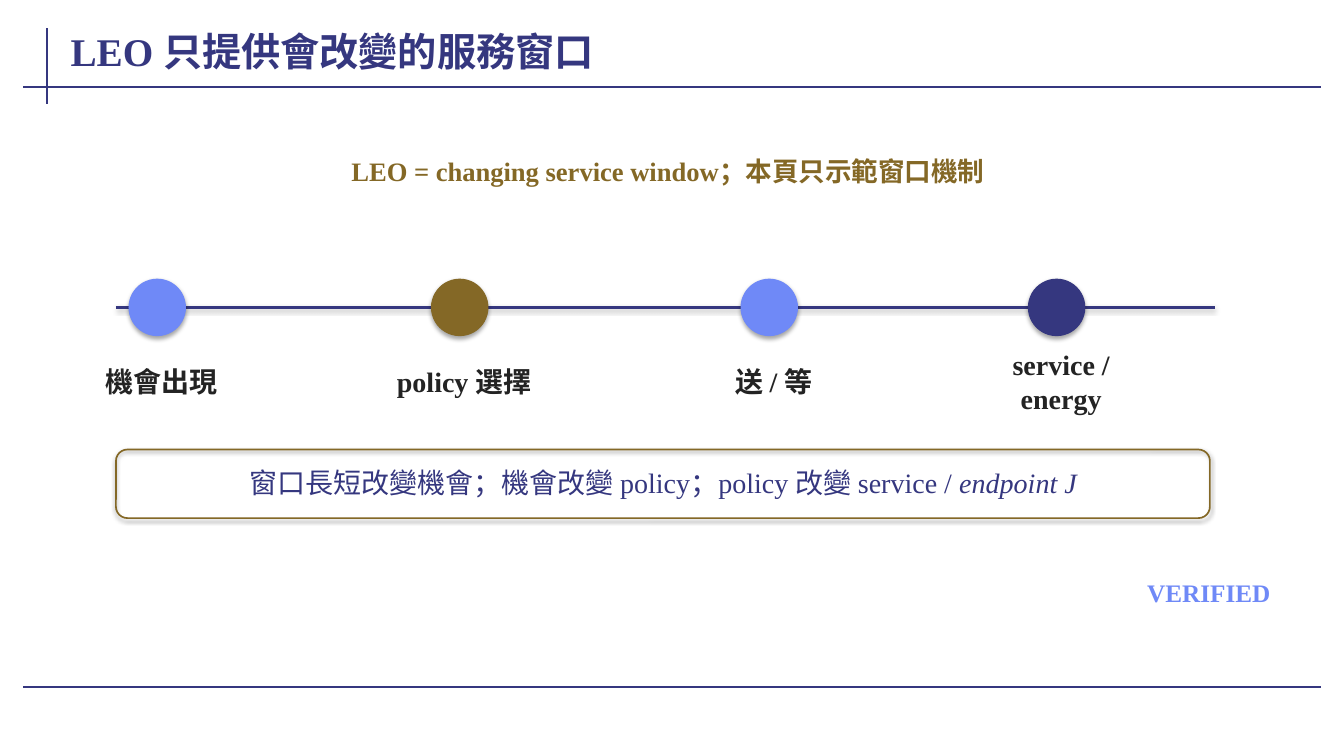
import pptx
import pptx.util
import pptx.dml.color
import pptx.enum.shapes
import pptx.enum.text
import pptx.oxml

PX = 9144  # 100 px to the inch
SHAPE = pptx.enum.shapes.MSO_SHAPE
ALIGN = pptx.enum.text.PP_ALIGN
FIT = pptx.enum.text.MSO_AUTO_SIZE


class Theme:
    font = "Times New Roman"
    navy = pptx.dml.color.RGBColor(0x35, 0x37, 0x7F)
    gold = pptx.dml.color.RGBColor(0x84, 0x68, 0x26)
    blue = pptx.dml.color.RGBColor(0x6F, 0x89, 0xF7)
    ink = pptx.dml.color.RGBColor(0x23, 0x23, 0x23)
    title_size = 28
    body_size = 20
    subtitle_size = 19
    tag_size = 18


def write(box, text, size, color, bold=True, align=ALIGN.CENTER,
          inset=(8, 6), fit=FIT.SHAPE_TO_FIT_TEXT):
    """Fill a box with one styled paragraph and return that paragraph."""
    frame = box.text_frame
    frame.text = text
    frame.word_wrap = True
    frame.auto_size = fit
    frame.vertical_anchor = pptx.enum.text.MSO_ANCHOR.MIDDLE
    frame.margin_left = frame.margin_right = inset[0] * PX
    frame.margin_top = frame.margin_bottom = inset[1] * PX
    paragraph = frame.paragraphs[0]
    paragraph.alignment = align
    for run in paragraph.runs:
        run.font.name = Theme.font
        run.font.size = pptx.util.Pt(size)
        run.font.bold = bold
        run.font.color.rgb = color
    return paragraph


def add_line(x1, y1, x2, y2, width):
    line = slide.shapes.add_connector(
        pptx.enum.shapes.MSO_CONNECTOR.STRAIGHT,
        x1 * PX, y1 * PX, x2 * PX, y2 * PX)
    line.line.color.rgb = Theme.navy
    line.line.width = pptx.util.Pt(width)
    return line


deck = pptx.Presentation()
deck.slide_width = 1333 * PX
deck.slide_height = 750 * PX
slide = deck.slides.add_slide(deck.slide_layouts[5])

# Page frame
for ends in ((47, 28, 47, 103), (23, 86, 1310, 86), (23, 682, 1310, 682)):
    rule = add_line(*ends, 1.5)
    rule._element.spPr.append(pptx.oxml.parse_xml(
        '<a:effectLst xmlns:a="http://schemas.openxmlformats.org/drawingml/2006/main"/>'))

title = slide.shapes.title
title.left, title.top, title.width, title.height = 67 * PX, 19 * PX, 1200 * PX, 63 * PX
write(title, "LEO 只提供會改變的服務窗口", Theme.title_size, Theme.navy,
      align=ALIGN.LEFT, inset=(3, 1), fit=FIT.NONE)

subtitle = slide.shapes.add_textbox(95 * PX, 148 * PX, 1135 * PX, 42 * PX)
write(subtitle, "LEO = changing service window；本頁只示範窗口機制",
      Theme.subtitle_size, Theme.gold)

# Timeline; the axis and dots keep the theme's soft shadow
AXIS_Y, DOT, LABEL_WIDTH = 305, 56, 175
add_line(115, AXIS_Y, 1205, AXIS_Y, 2.1)
steps = (
    (156, "機會出現", Theme.blue),
    (456, "policy 選擇", Theme.gold),
    (763, "送 / 等", Theme.blue),
    (1048, "service / energy", Theme.navy),
)
for center, label, color in steps:
    dot = slide.shapes.add_shape(
        SHAPE.OVAL, (center - DOT // 2) * PX, (AXIS_Y - DOT // 2) * PX, DOT * PX, DOT * PX)
    dot.fill.solid()
    dot.fill.fore_color.rgb = color
    dot.line.color.rgb = color
    dot.line.width = pptx.util.Pt(0.75)
    caption = slide.shapes.add_textbox(
        (center + 4 - LABEL_WIDTH // 2) * PX, 352 * PX, LABEL_WIDTH * PX, 52 * PX)
    write(caption, label, Theme.body_size, Theme.ink)

# Takeaway
frame = slide.shapes.add_shape(
    SHAPE.ROUNDED_RECTANGLE, 115 * PX, 446 * PX, 1085 * PX, 68 * PX)
frame.fill.background()
frame.line.color.rgb = Theme.gold
frame.line.width = pptx.util.Pt(1.2)

takeaway = slide.shapes.add_textbox(135 * PX, 458 * PX, 1045 * PX, 40 * PX)
sentence = write(takeaway, "窗口長短改變機會；機會改變 policy；policy 改變 service / ",
                 Theme.body_size, Theme.navy, bold=False)
endpoint = sentence.add_run()
endpoint.text = "endpoint J"
endpoint.font.name = Theme.font
endpoint.font.size = pptx.util.Pt(Theme.body_size)
endpoint.font.italic = True
endpoint.font.color.rgb = Theme.navy

status = slide.shapes.add_textbox(800 * PX, 572 * PX, 462 * PX, 32 * PX)
write(status, "VERIFIED", Theme.tag_size, Theme.blue, align=ALIGN.RIGHT, inset=(2, 0))

deck.save("out.pptx")
